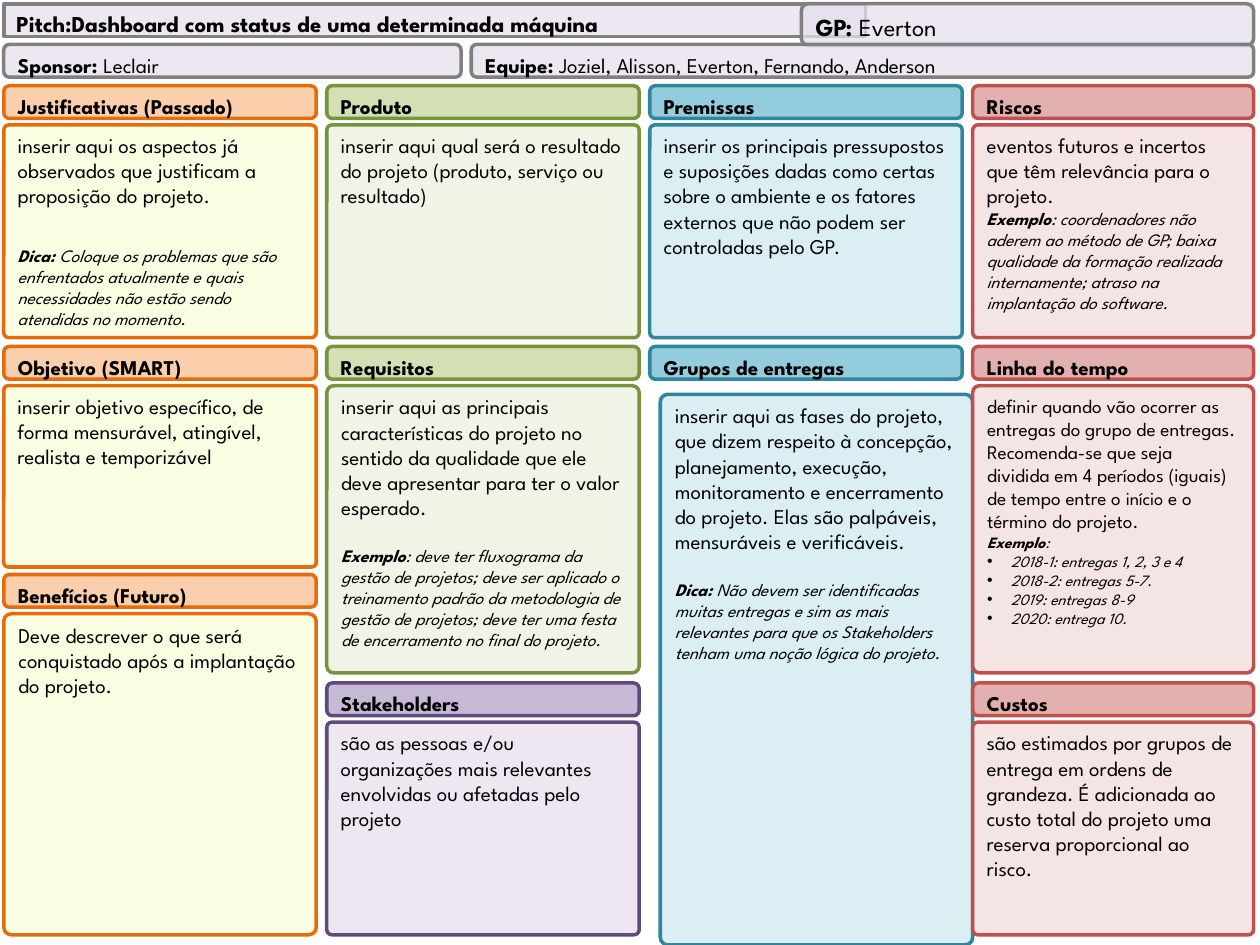
import pptx
import pptx.dml.color
import pptx.enum.shapes
import pptx.enum.text
import pptx.oxml
import pptx.oxml.ns
import pptx.util
from lxml import etree

Pt = pptx.util.Pt
RGBColor = pptx.dml.color.RGBColor
qn = pptx.oxml.ns.qn

FONT = "League Spartan"
BLACK = RGBColor(0x00, 0x00, 0x00)
GRAY = RGBColor(0x80, 0x80, 0x80)
LILAC = RGBColor(0xE6, 0xE0, 0xEC)
# Each theme: heading fill, body fill, outline, opacity in percent
ORANGE = (RGBColor(0xFA, 0xC0, 0x90), RGBColor(0xF8, 0xFE, 0xDA), RGBColor(0xE4, 0x6C, 0x0A), 75)
GREEN = (RGBColor(0xC3, 0xD6, 0x9B), RGBColor(0xEB, 0xF1, 0xDE), RGBColor(0x77, 0x93, 0x3C), 75)
PURPLE = (RGBColor(0xB3, 0xA2, 0xC7), LILAC, RGBColor(0x60, 0x4A, 0x7B), 75)
TEAL = (RGBColor(0x93, 0xCD, 0xDD), RGBColor(0xDB, 0xEE, 0xF4), RGBColor(0x31, 0x85, 0x9C), 100)
RED = (RGBColor(0xD9, 0x96, 0x94), RGBColor(0xF2, 0xDC, 0xDB), RGBColor(0xC0, 0x50, 0x4D), 75)

LEFT, COLUMN_STEP, COLUMN_WIDTH, LAST_WIDTH = 2.16, 184.56, 178.56, 160.56
HEADING_HEIGHT, BODY_OFFSET = 18.72, 22.4
ROW_1, ROW_2, ROW_3 = (49, 193), (198, 384.5), (390.3, 534.2)
HEADING_ROUNDING, BODY_ROUNDING = 0.167, 0.024


def add_text(paragraph, text, size=12, bold=False, italic=False):
    run = paragraph.add_run()
    run.text = text
    font = run.font
    font.name, font.size, font.bold, font.italic = FONT, Pt(size), bold, italic
    font.color.rgb = BLACK


def add_bullet(paragraph, indent=13.68):
    properties = paragraph._p.get_or_add_pPr()
    properties.set("marL", str(Pt(indent)))
    properties.set("indent", str(-Pt(indent)))
    etree.SubElement(properties, qn("a:buFont")).set("typeface", "Arial")
    etree.SubElement(properties, qn("a:buChar")).set("char", "•")


def round_placeholder(shape, rounding):
    geometry = pptx.oxml.parse_xml(
        '<a:prstGeom xmlns:a="http://schemas.openxmlformats.org/drawingml/2006/main" prst="roundRect">'
        f'<a:avLst><a:gd name="adj" fmla="val {round(rounding * 100000)}"/></a:avLst></a:prstGeom>')
    shape._element.spPr.find(qn("a:xfrm")).addnext(geometry)


def format_box(shape, fill, line, opacity):
    shape.fill.solid()
    shape.fill.fore_color.rgb = fill
    if opacity < 100:
        color = shape._element.spPr.find(qn("a:solidFill"))[0]
        etree.SubElement(color, qn("a:alpha")).set("val", str(opacity * 1000))
    shape.line.color.rgb = line
    shape.line.width = Pt(2)
    frame = shape.text_frame
    frame.word_wrap = True
    frame.auto_size = pptx.enum.text.MSO_AUTO_SIZE.NONE
    frame.vertical_anchor = pptx.enum.text.MSO_ANCHOR.TOP
    frame.margin_left = frame.margin_right = Pt(7.2)
    frame.margin_top = frame.margin_bottom = Pt(3.6)


def fill_paragraphs(frame, paragraphs):
    """Each paragraph is a dict with runs of (text, format), a gap before and a bullet flag."""
    for index, content in enumerate(paragraphs):
        paragraph = frame.paragraphs[0] if index == 0 else frame.add_paragraph()
        paragraph.alignment = pptx.enum.text.PP_ALIGN.LEFT
        paragraph.space_before = Pt(content.get("gap", 0))
        if content.get("bullet"):
            add_bullet(paragraph)
        for text, style in content["runs"]:
            add_text(paragraph, text, **style)


def add_box(slide, box, rounding, fill, line, opacity, paragraphs):
    shape = slide.shapes.add_shape(
        pptx.enum.shapes.MSO_SHAPE.ROUNDED_RECTANGLE, *(Pt(length) for length in box))
    shape.adjustments[0] = rounding
    shape.shadow.inherit = False
    format_box(shape, fill, line, opacity)
    fill_paragraphs(shape.text_frame, paragraphs)


def plain(text, size=12):
    return {"runs": [(text, {"size": size})]}


def labelled(label, text, size=12, italic=False, gap=0):
    """A paragraph that opens with a bold label."""
    return {"gap": gap, "runs": [(label, {"size": size, "bold": True, "italic": italic}),
                                 (text, {"size": size, "italic": italic})]}


def hint(label, text, gap=0, size=10):
    return labelled(label, text, size=size, italic=True, gap=gap)


def add_title(slide, box, text):
    title = slide.shapes.title
    title.left, title.top, title.width, title.height = (Pt(length) for length in box)
    round_placeholder(title, HEADING_ROUNDING)
    format_box(title, LILAC, GRAY, 75)
    fill_paragraphs(title.text_frame, [labelled(text, "", size=13)])


def add_project_field(slide, box, label, text, size=12):
    add_box(slide, box, HEADING_ROUNDING, LILAC, GRAY, 75, [labelled(label, text, size)])


def add_panel(slide, column, row, theme, heading, paragraphs, body_box=None):
    """Heading bar with a body below it, in one cell of the canvas."""
    heading_fill, body_fill, line, opacity = theme
    top, bottom = row
    left = LEFT + column * COLUMN_STEP
    width = LAST_WIDTH if column == 3 else COLUMN_WIDTH
    body_top = top + BODY_OFFSET
    body_box = body_box or (left, body_top, width, bottom - body_top)
    add_box(slide, body_box, BODY_ROUNDING, body_fill, line, opacity, paragraphs)
    add_box(slide, (left, top, width, HEADING_HEIGHT), HEADING_ROUNDING,
            heading_fill, line, opacity, [labelled(heading, "")])


def timeline_paragraphs():
    deliveries = ("2018-1: entregas 1, 2, 3 e 4", "2018-2: entregas 5-7.",
                  "2019: entregas 8-9", "2020: entrega 10.")
    summary = {"runs": [
        ("definir quando vão ocorrer as entregas do grupo de entregas. Recomenda-se que seja "
         "dividida em 4 períodos (iguais) de tempo entre o ", {"size": 11}),
        ("início", {"size": 10.5}), (" e o término do projeto.", {"size": 11})]}
    bullets = [{"bullet": True, "runs": [(text, {"size": 9, "italic": True})]} for text in deliveries]
    return [summary, hint("Exemplo", ":", size=9), *bullets]


def add_header(slide):
    add_title(slide, (LEFT, 2.16, 492.5, 18.72), "Pitch:Dashboard com status de uma determinada máquina")
    add_project_field(slide, (457.92, 2.16, 258.48, 23.76), "GP: ", "Everton", size=14)
    add_project_field(slide, (LEFT, 25.4, 261.36, 18.72), "Sponsor: ", "Leclair")
    add_project_field(slide, (269.28, 25.4, 447.12, 18.72), "Equipe: ",
                      "Joziel, Alisson, Everton, Fernando, Anderson")


def add_canvas(slide):
    panels = [
        (0, ROW_1, ORANGE, "Justificativas (Passado)", [
            plain("inserir aqui os aspectos já observados que justificam a proposição do projeto."),
            hint("Dica: ", "Coloque os problemas que são enfrentados atualmente e quais necessidades "
                 "não estão sendo atendidas no momento.", gap=21)]),
        (0, (198, 324), ORANGE, "Objetivo (SMART)", [
            plain("inserir objetivo específico, de forma mensurável, atingível, realista e temporizável")]),
        (0, (328.3, 534.2), ORANGE, "Benefícios (Futuro)", [
            plain("Deve descrever o que será conquistado após a implantação do projeto.")]),
        (1, ROW_1, GREEN, "Produto", [
            plain("inserir aqui qual será o resultado do projeto (produto, serviço ou resultado)")]),
        (1, ROW_2, GREEN, "Requisitos", [
            plain("inserir aqui as principais características do projeto no sentido da qualidade "
                  "que ele deve apresentar para ter o valor esperado."),
            hint("Exemplo", ": deve ter fluxograma da gestão de projetos; deve ser aplicado o treinamento "
                 "padrão da metodologia de gestão de projetos; deve ter uma festa de encerramento "
                 "no final do projeto.", gap=14.4)]),
        (2, ROW_1, TEAL, "Premissas", [
            plain("inserir os principais pressupostos e suposições dadas como certas sobre o ambiente "
                  "e os fatores externos que não podem ser controladas pelo GP.")]),
        (2, ROW_2, TEAL, "Grupos de entregas", [
            plain("inserir aqui as fases do projeto, que dizem respeito à concepção, planejamento, execução, "
                  "monitoramento e encerramento do projeto. Elas são palpáveis, mensuráveis e verificáveis."),
            hint("Dica: ", "Não devem ser identificadas muitas entregas e sim as mais relevantes para que "
                 "os Stakeholders tenham uma noção lógica do projeto.", gap=14.4)],
         (377.28, 225.36, COLUMN_WIDTH, 314.64)),
        (3, ROW_1, RED, "Riscos", [
            plain("eventos futuros e incertos que têm relevância para o projeto."),
            hint("Exemplo", ": coordenadores não aderem ao método de GP; baixa qualidade da formação realizada"),
            hint("", "internamente; atraso na implantação do software.")]),
        (3, ROW_2, RED, "Linha do tempo", timeline_paragraphs()),
        (3, ROW_3, RED, "Custos", [
            plain("são estimados por grupos de entrega em ordens de grandeza. É adicionada ao custo total "
                  "do projeto uma reserva proporcional ao risco.")]),
        (1, ROW_3, PURPLE, "Stakeholders", [
            plain("são as pessoas e/ou organizações mais relevantes envolvidas ou afetadas pelo projeto")]),
    ]
    for panel in panels:
        add_panel(slide, *panel)


def main():
    presentation = pptx.Presentation()
    presentation.slide_width, presentation.slide_height = Pt(720), Pt(540)
    slide = presentation.slides.add_slide(presentation.slide_layouts.get_by_name("Title Only"))
    add_header(slide)
    add_canvas(slide)
    presentation.save("out.pptx")


if __name__ == "__main__":
    main()
